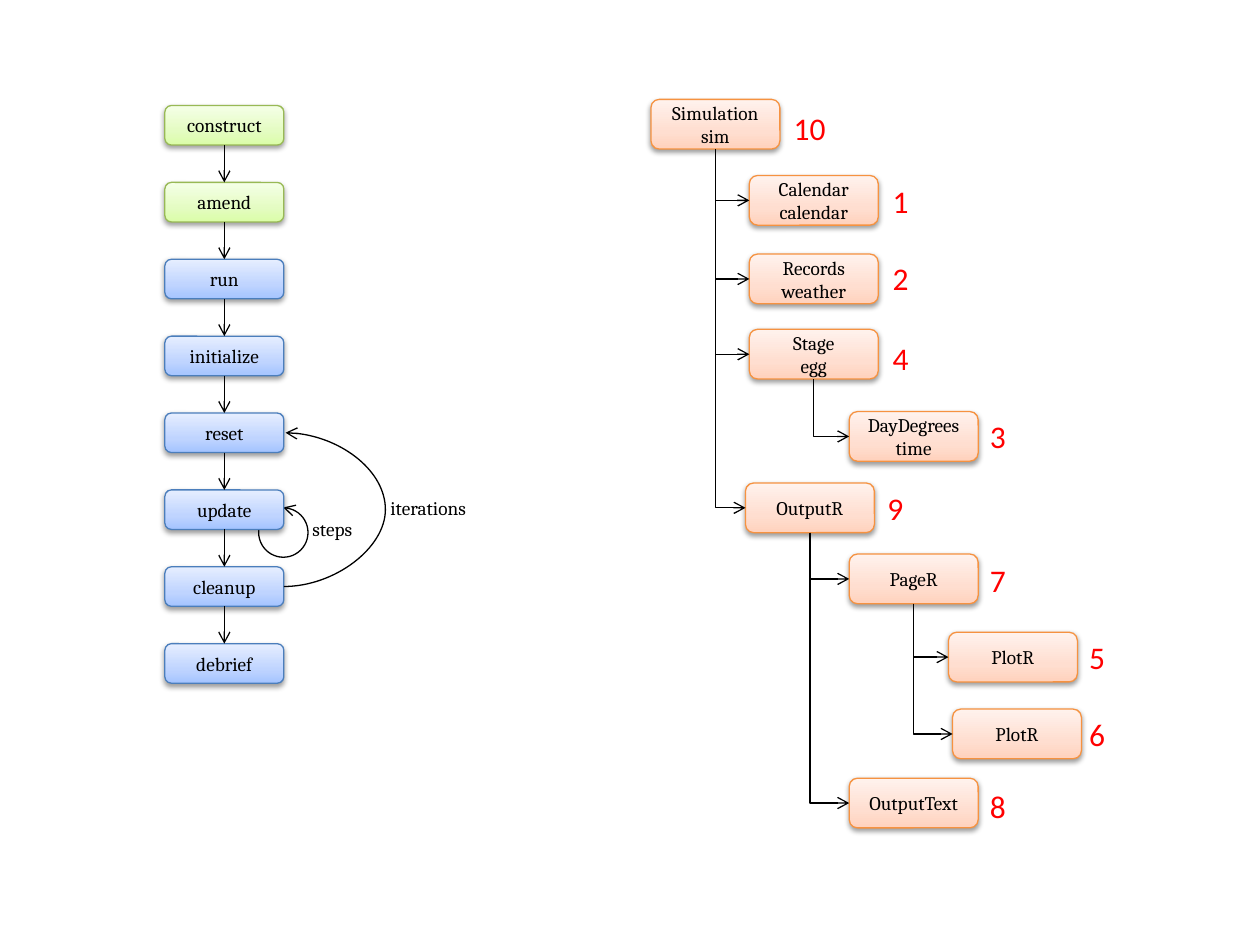
from dataclasses import dataclass
from itertools import pairwise
from typing import Optional

from lxml.etree import SubElement
from pptx import Presentation
from pptx.dml.color import RGBColor
from pptx.enum.shapes import MSO_CONNECTOR, MSO_SHAPE
from pptx.enum.text import MSO_ANCHOR, MSO_AUTO_SIZE, PP_ALIGN
from pptx.oxml.ns import qn
from pptx.util import Pt


@dataclass(frozen=True)
class BoxStyle:
    gradient: tuple[str, str, str]
    outline: str


@dataclass(frozen=True)
class TextStyle:
    font: str
    size: float
    color: str


@dataclass(frozen=True)
class Theme:
    setup: BoxStyle = BoxStyle(("DAFDA7", "E4FCC2", "F5FFE7"), "98B955")
    stage: BoxStyle = BoxStyle(("A4C4FF", "BFD4FF", "E6EEFF"), "4B7EBC")
    node: BoxStyle = BoxStyle(("FFD2BD", "FFDED0", "FFF2ED"), "F69240")
    label: TextStyle = TextStyle("Cambria", 11, "000000")
    rank: TextStyle = TextStyle("Calibri", 18, "FF0000")
    ink: str = "000000"
    paper: str = "FFFFFF"
    line_width: float = 0.75
    gradient_stops: tuple[int, int, int] = (0, 35, 100)


@dataclass(frozen=True)
class Node:
    """A box of the object tree, its rank label and the index of its parent."""
    text: str
    left: float
    top: float
    rank: str
    rank_left: float
    rank_top: float
    parent: Optional[int] = None


THEME = Theme()
STEP_LEFT, STEP_TOP, STEP_PITCH = 94.2, 60.3, 43.93
STEP_WIDTH, STEP_HEIGHT = 68, 22.6
NODE_WIDTH, NODE_HEIGHT = 73.7, 28.4

SETUP_STEPS = ("construct", "amend")
RUN_STEPS = ("run", "initialize", "reset", "update", "cleanup", "debrief")
STEPS = SETUP_STEPS + RUN_STEPS

NODES = (
    Node("Simulation\nsim", 372, 56.8, "10", 446.4, 58.6),
    Node("Calendar\ncalendar", 428.2, 100.3, "1", 503, 100.3, 0),
    Node("Records\nweather", 428.2, 145.2, "2", 503, 144.2, 0),
    Node("Stage\negg", 428.2, 188.2, "4", 503, 190.2, 0),
    Node("DayDegrees\ntime", 485.3, 235.2, "3", 558.6, 234.8, 3),
    Node("OutputR", 426, 276, "9", 500, 276, 0),
    Node("PageR", 485.3, 316.6, "7", 558.6, 317, 5),
    Node("PlotR", 542, 361.3, "5", 615.2, 360.9, 6),
    Node("PlotR", 544.3, 405.2, "6", 615.2, 405.2, 6),
    Node("OutputText", 485.3, 444.7, "8", 558.6, 446.2, 5),
)


def write(frame, text: str, style: TextStyle, align, frame_format: dict) -> None:
    for name, value in frame_format.items():
        setattr(frame, name, value)
    frame.text = text
    for paragraph in frame.paragraphs:
        paragraph.alignment = align
        font_format = {"name": style.font, "size": Pt(style.size)}
        for name, value in font_format.items():
            setattr(paragraph.font, name, value)
        paragraph.font.color.rgb = RGBColor.from_string(style.color)


def set_line(line, color: str) -> None:
    line.color.rgb = RGBColor.from_string(color)
    line.width = Pt(THEME.line_width)


def add_color(parent, color: str):
    return SubElement(parent, qn("a:srgbClr"), val=color)


def add_gradient(properties, colors: tuple[str, str, str]) -> None:
    gradient = SubElement(properties, qn("a:gradFill"), rotWithShape="1")
    stops = SubElement(gradient, qn("a:gsLst"))
    for percent, color in zip(THEME.gradient_stops, colors):
        add_color(SubElement(stops, qn("a:gs"), pos=str(percent * 1000)), color)
    SubElement(gradient, qn("a:lin"), ang="16200000", scaled="0")


def add_soft_shadow(properties) -> None:
    effects = SubElement(properties, qn("a:effectLst"))
    shadow = SubElement(effects, qn("a:outerShdw"), blurRad=str(Pt(3.1)),
                        dist=str(Pt(1.6)), dir="5400000", rotWithShape="0")
    SubElement(add_color(shadow, THEME.ink), qn("a:alpha"), val="38000")


def add_box(shapes, text: str, left: float, top: float, width: float,
            height: float, style: BoxStyle):
    box = shapes.add_shape(MSO_SHAPE.ROUNDED_RECTANGLE,
                           Pt(left), Pt(top), Pt(width), Pt(height))
    properties = box._element.spPr
    add_gradient(properties, style.gradient)
    set_line(box.line, style.outline)
    add_soft_shadow(properties)
    write(box.text_frame, text, THEME.label, PP_ALIGN.CENTER,
          {"vertical_anchor": MSO_ANCHOR.MIDDLE, "word_wrap": True})
    return box


def add_label(shapes, text: str, left: float, top: float, width: float,
              height: float, style: TextStyle) -> None:
    label = shapes.add_textbox(Pt(left), Pt(top), Pt(width), Pt(height))
    write(label.text_frame, text, style, PP_ALIGN.LEFT,
          {"word_wrap": False, "auto_size": MSO_AUTO_SIZE.SHAPE_TO_FIT_TEXT})


def add_line(shapes, start: tuple[float, float], end: tuple[float, float],
             kind=MSO_CONNECTOR.STRAIGHT, arrow: bool = True):
    line = shapes.add_connector(kind, *map(Pt, start + end))
    set_line(line.line, THEME.ink)
    if arrow:
        SubElement(line.line._get_or_add_ln(), qn("a:tailEnd"), type="arrow")
    SubElement(line._element.spPr, qn("a:effectLst"))
    return line


def add_branch(shapes, parent: Node, child: Node) -> None:
    """Run down from the parent's bottom centre, then right to the child's side."""
    start_x, start_y = parent.left + NODE_WIDTH / 2, parent.top + NODE_HEIGHT
    end_x, end_y = child.left, child.top + NODE_HEIGHT / 2
    across, down = end_x - start_x, end_y - start_y
    branch = add_line(shapes, (start_x, start_y), (end_x, end_y), MSO_CONNECTOR.ELBOW)
    # A quarter turn swaps width and height about the shared centre.
    turned = {"left": (start_x + end_x - down) / 2, "top": (start_y + end_y - across) / 2,
              "width": down, "height": across}
    for name, value in turned.items():
        setattr(branch, name, Pt(value))
    properties = branch._element.spPr
    properties.find(qn("a:prstGeom")).set("prst", "bentConnector2")
    for name, value in {"rot": "16200000", "flipH": "1"}.items():
        properties.find(qn("a:xfrm")).set(name, value)


def draw_steps_loop(shapes) -> None:
    loop = shapes.add_shape(MSO_SHAPE.OVAL, Pt(147.8), Pt(290.2), Pt(28.2), Pt(28.2))
    loop.shadow.inherit = False
    loop.fill.solid()
    loop.fill.fore_color.rgb = RGBColor.from_string(THEME.paper)
    set_line(loop.line, THEME.ink)
    tip = (162.6, 290.2)
    for barb in ((169.2, 288.7), (167.3, 294.7)):
        add_line(shapes, tip, barb, arrow=False)
    add_label(shapes, "steps", 171.4, 292.3, 39.6, 20.6, THEME.label)


def draw_iterations_loop(shapes) -> None:
    right = STEP_LEFT + STEP_WIDTH
    reset_y, cleanup_y = (STEP_TOP + STEPS.index(step) * STEP_PITCH + STEP_HEIGHT / 2
                          for step in ("reset", "cleanup"))
    curve = add_line(shapes, (right, cleanup_y), (right + 1, reset_y), MSO_CONNECTOR.CURVE)
    adjustments = curve._element.spPr.find(qn("a:prstGeom")).find(qn("a:avLst"))
    SubElement(adjustments, qn("a:gd"), name="adj1", fmla="val 5850000")
    add_label(shapes, "iterations", 216, 280.1, 60.5, 20.6, THEME.label)


def draw_process(shapes) -> None:
    draw_steps_loop(shapes)
    boxes = [add_box(shapes, step, STEP_LEFT, STEP_TOP + row * STEP_PITCH, STEP_WIDTH,
                     STEP_HEIGHT, THEME.setup if step in SETUP_STEPS else THEME.stage)
             for row, step in enumerate(STEPS)]
    for upper, lower in pairwise(boxes):
        arrow = add_line(shapes, (0, 0), (0, 0))
        arrow.begin_connect(upper, 2)
        arrow.end_connect(lower, 0)
    draw_iterations_loop(shapes)


def draw_tree(shapes) -> None:
    for node in NODES:
        add_box(shapes, node.text, node.left, node.top, NODE_WIDTH, NODE_HEIGHT, THEME.node)
        rank_width = 14.4 + 9.2 * len(node.rank)
        add_label(shapes, node.rank, node.rank_left, node.rank_top, rank_width, 29, THEME.rank)
    for node in NODES:
        if node.parent is not None:
            add_branch(shapes, NODES[node.parent], node)


def main() -> None:
    deck = Presentation()
    deck.slide_width, deck.slide_height = Pt(720), Pt(540)
    slide = deck.slides.add_slide(deck.slide_layouts[6])
    draw_process(slide.shapes)
    draw_tree(slide.shapes)
    deck.save("out.pptx")


if __name__ == "__main__":
    main()
